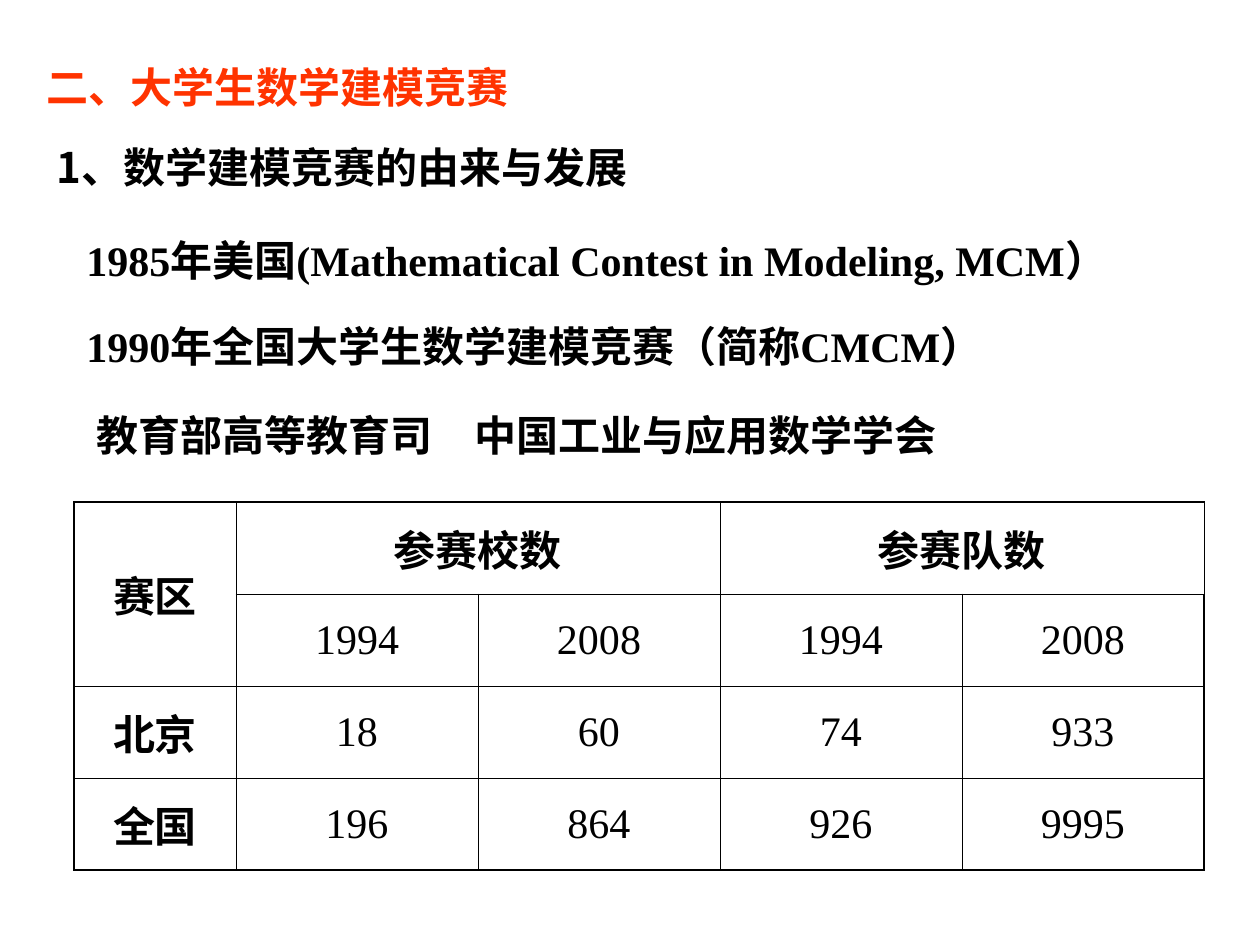
import pptx
import pptx.dml.color
import pptx.enum.text
import pptx.oxml
import pptx.oxml.ns
import pptx.util

PX = 914400 // 126
CJK_FONT = "Noto Sans CJK SC"
LATIN_FONT = "Times New Roman"
BLACK, ORANGE = "000000", "FF3300"
OUTER, INNER = 1.08, 0.45

# left, top, width, space before, font, colour, text
LINES = [
    (34, 55, 546, 0, CJK_FONT, ORANGE, "二、大学生数学建模竞赛"),
    (44, 135, 714, 15, CJK_FONT, BLACK, "1、数学建模竞赛的由来与发展"),
    (74, 228, 1091, 15, LATIN_FONT, BLACK,
     "1985年美国(Mathematical Contest in Modeling, MCM）"),
    (74, 314, 1062, 15, LATIN_FONT, BLACK, "1990年全国大学生数学建模竞赛（简称CMCM）"),
    (84, 403, 1091, 0, LATIN_FONT, BLACK, "教育部高等教育司　中国工业与应用数学学会"),
]
ENTRIES = [
    ["赛区", "参赛校数", "", "参赛队数", ""],
    ["", "1994", "2008", "1994", "2008"],
    ["北京", "18", "60", "74", "933"],
    ["全国", "196", "864", "926", "9995"],
]
MERGES = [((0, 0), (1, 0)), ((0, 1), (0, 2)), ((0, 3), (0, 4))]
FIRST_COLUMN, YEAR_COLUMN, ROW_HEIGHT = 162, 242, 92


def px(count):
    return pptx.util.Emu(count * PX)


def colour(code):
    return pptx.dml.color.RGBColor.from_string(code)


def write(frame, text, font, code, bold, before=0, align=None):
    para = frame.paragraphs[0]
    para.alignment = align
    if before:
        para.space_before = pptx.util.Pt(before)
    span = para.add_run()
    span.text = text
    span.font.color.rgb = colour(code)
    formats = {"size": pptx.util.Pt(24), "bold": bold, "name": font}
    for name, value in formats.items():
        setattr(span.font, name, value)
    # East Asian characters take their own typeface
    properties = span.font._element
    east_asian = properties.makeelement(pptx.oxml.ns.qn("a:ea"), {"typeface": CJK_FONT})
    properties.find(pptx.oxml.ns.qn("a:latin")).addnext(east_asian)


def add_line(page, left, top, width, before, font, code, text):
    box = page.shapes.add_textbox(px(left), px(top), px(width), px(63))
    frame = box.text_frame
    frame.word_wrap = True
    frame.auto_size = pptx.enum.text.MSO_AUTO_SIZE.SHAPE_TO_FIT_TEXT
    write(frame, text, font, code, True, before)


def add_borders(cell, widths):
    for side, width in widths.items():
        cell._tc.get_or_add_tcPr().append(pptx.oxml.parse_xml(
            f'<a:ln{side} {pptx.oxml.ns.nsdecls("a")} w="{pptx.util.Pt(width)}">'
            f'<a:solidFill><a:srgbClr val="{BLACK}"/></a:solidFill></a:ln{side}>'))


def add_entries(page):
    rows, columns = len(ENTRIES), len(ENTRIES[0])
    width = FIRST_COLUMN + YEAR_COLUMN * (columns - 1)
    table = page.shapes.add_table(rows, columns, px(74), px(502),
                                  px(width), px(ROW_HEIGHT * rows)).table
    table.first_row = table.horz_banding = False
    for index, column in enumerate(table.columns):
        column.width = px(YEAR_COLUMN if index else FIRST_COLUMN)
    for first, last in MERGES:
        table.cell(*first).merge(table.cell(*last))

    for r, entries in enumerate(ENTRIES):
        for c, text in enumerate(entries):
            cell = table.cell(r, c)
            # Heavier rule round the outside
            edges = {"L": c == 0, "R": c == columns - 1, "T": r == 0, "B": r == rows - 1}
            add_borders(cell, {side: OUTER if outside else INNER
                               for side, outside in edges.items()})
            cell.fill.background()
            cell.vertical_anchor = pptx.enum.text.MSO_ANCHOR.MIDDLE
            if text:
                write(cell.text_frame, text, LATIN_FONT, BLACK, r == 0 or c == 0,
                      0 if c else 6, pptx.enum.text.PP_ALIGN.CENTER)


def main():
    deck = pptx.Presentation()
    deck.slide_width, deck.slide_height = px(1260), px(945)
    page = deck.slides.add_slide(deck.slide_layouts[6])
    page.background.fill.solid()
    page.background.fill.fore_color.rgb = colour("FFFFFF")
    # Headings and history
    for line in LINES:
        add_line(page, *line)
    # Entry numbers by region
    add_entries(page)
    deck.save("out.pptx")


if __name__ == "__main__":
    main()
